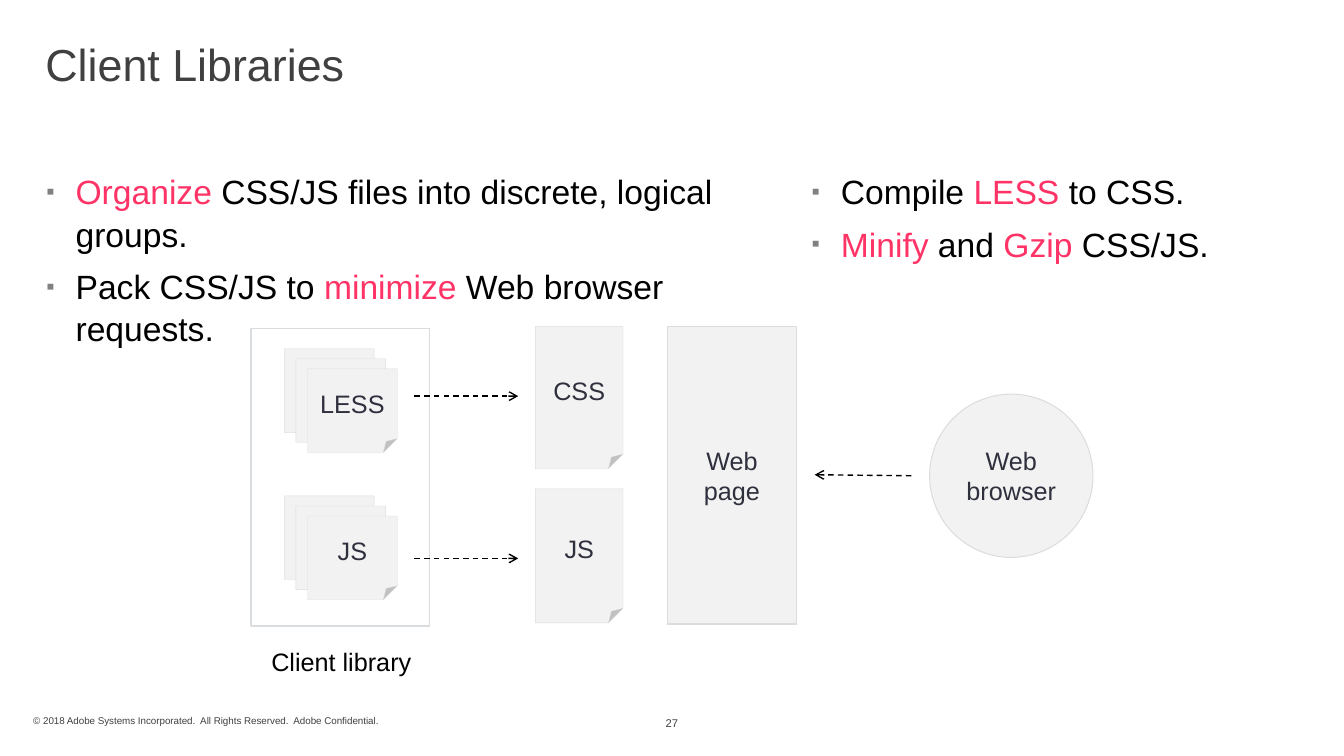
import pptx
import pptx.util
import pptx.dml.color
import pptx.enum.dml
import pptx.enum.shapes
import pptx.enum.text
from lxml import etree
from pptx.oxml.ns import qn

Inches, Pt = pptx.util.Inches, pptx.util.Pt
SHAPE = pptx.enum.shapes.MSO_SHAPE
ALIGN = pptx.enum.text.PP_ALIGN
ANCHOR = pptx.enum.text.MSO_ANCHOR
COLORS = {"title": "404040", "text": "000000", "accent": "FF3366", "bullet": "808080",
          "label": "2F303D", "fill": "F2F2F2", "edge": "DADDE0"}


def rgb(name):
    return pptx.dml.color.RGBColor.from_string(COLORS[name])


def write(p, text, size, color, align=None):
    if align is not None:
        p.alignment = align
    r = p.add_run()
    r.text = text
    for key, value in {"name": "Arial", "size": Pt(size), "bold": False}.items():
        setattr(r.font, key, value)
    r.font.color.rgb = rgb(color)


prs = pptx.Presentation()
prs.slide_width, prs.slide_height = Inches(13.33), Inches(7.5)
s = prs.slides.add_slide(prs.slide_layouts[5])

# Title
title = s.shapes.title
title.left, title.top, title.width, title.height = map(Inches, (0.33, 0.31, 12.66, 0.65))
tf = title.text_frame
frame_format = {"margin_left": Inches(0.12), "margin_right": Inches(0.12),
                "margin_top": Inches(0.06), "margin_bottom": Inches(0.06),
                "vertical_anchor": ANCHOR.MIDDLE, "word_wrap": True,
                "auto_size": pptx.enum.text.MSO_AUTO_SIZE.NONE}
for key, value in frame_format.items():
    setattr(tf, key, value)
write(tf.paragraphs[0], "Client Libraries", 32, "title", ALIGN.LEFT)

# Bullet columns: each bullet is a list of (text, colour) runs
columns = [
    (0.33, 7.08, [
        [("Organize", "accent"), (" CSS/JS files into discrete, logical groups.", "text")],
        [("Pack CSS/JS to ", "text"), ("minimize", "accent"), (" Web browser requests.", "text")]]),
    (7.92, 4.25, [
        [("Compile ", "text"), ("LESS", "accent"), (" to CSS.", "text")],
        [("Minify", "accent"), (" and ", "text"), ("Gzip", "accent"), (" CSS/JS.", "text")]]),
]
for left, width, bullets in columns:
    tf = s.shapes.add_textbox(Inches(left), Inches(1.62), Inches(width), Inches(1.19)).text_frame
    for key, value in {**frame_format, "vertical_anchor": ANCHOR.TOP}.items():
        setattr(tf, key, value)
    for i, runs in enumerate(bullets):
        p = tf.add_paragraph() if i else tf.paragraphs[0]
        p.line_spacing = 1.05
        p.space_before = Pt(7.1 if i else 0)
        pPr = p._p.get_or_add_pPr()
        pPr.set("marL", str(Inches(0.3)))
        pPr.set("indent", str(Inches(-0.29)))
        bu_color = etree.SubElement(pPr, qn("a:buClr"))
        etree.SubElement(bu_color, qn("a:srgbClr"), val=COLORS["bullet"])
        etree.SubElement(pPr, qn("a:buSzPct"), val="70000")
        etree.SubElement(pPr, qn("a:buFont"), typeface="Arial")
        etree.SubElement(pPr, qn("a:buChar"), char="▪")
        for text, color in runs:
            write(p, text, 24, color)

# Diagram shapes: kind, left, top, width, height, line width, label lines
diagram = [(SHAPE.RECTANGLE, 2.49, 3.26, 1.77, 2.95, 1, [])]
for top, label in ((3.46, "LESS"), (4.92, "JS")):
    for i in range(3):
        diagram.append((SHAPE.FOLDED_CORNER, 2.82 + 0.115 * i, top + 0.1 * i, 0.89, 0.83, 0.25,
                        [label] if i == 2 else []))
diagram += [
    (SHAPE.FOLDED_CORNER, 5.31, 3.24, 0.87, 1.41, 0.25, ["CSS"]),
    (SHAPE.FOLDED_CORNER, 5.31, 4.85, 0.87, 1.33, 0.25, ["JS"]),
    (SHAPE.RECTANGLE, 6.62, 3.24, 1.28, 2.95, 1, ["Web", "page"]),
    (SHAPE.OVAL, 9.22, 3.91, 1.62, 1.62, 0, ["Web browser"]),
]
for n, (kind, left, top, width, height, line, labels) in enumerate(diagram):
    sp = s.shapes.add_shape(kind, Inches(left), Inches(top), Inches(width), Inches(height))
    sp.shadow.inherit = False
    if n == 0:
        sp.fill.background()
    else:
        sp.fill.solid()
        sp.fill.fore_color.rgb = rgb("fill")
    sp.line.color.rgb = rgb("edge")
    sp.line.width = Pt(line)
    tf = sp.text_frame
    tf.vertical_anchor = ANCHOR.MIDDLE
    for i, label in enumerate(labels):
        p = tf.add_paragraph() if i else tf.paragraphs[0]
        write(p, label, 18, "label", ALIGN.CENTER)

# Dashed arrows
for x1, y1, x2, y2 in ((4.11, 3.93, 5.14, 3.93), (4.11, 5.54, 5.14, 5.54), (9.04, 4.72, 8.08, 4.71)):
    arrow = s.shapes.add_connector(pptx.enum.shapes.MSO_CONNECTOR.STRAIGHT,
                                   Inches(x1), Inches(y1), Inches(x2), Inches(y2))
    arrow.line.color.rgb = rgb("text")
    arrow.line.width = Pt(1)
    arrow.line.dash_style = pptx.enum.dml.MSO_LINE.DASH
    etree.SubElement(arrow.line._get_or_add_ln(), qn("a:tailEnd"), type="arrow")
    etree.SubElement(arrow._element.spPr, qn("a:effectLst"))

# Caption, copyright line and page number
captions = [
    (2.49, 6.39, 1.79, 0.36, "Client library", 18, "text", ALIGN.CENTER, {"margin_top": Inches(0.05)}),
    (0.33, 7.09, 5.67, 0.12,
     "© 2018 Adobe Systems Incorporated.  All Rights Reserved.  Adobe Confidential.",
     7, "title", ALIGN.LEFT,
     {"margin_left": 0, "margin_right": 0, "margin_top": 0, "margin_bottom": 0,
      "vertical_anchor": ANCHOR.BOTTOM}),
    (6.11, 7.08, 1.11, 0.18, "27", 8, "title", ALIGN.CENTER, {}),
]
for left, top, width, height, text, size, color, align, changes in captions:
    tf = s.shapes.add_textbox(Inches(left), Inches(top), Inches(width), Inches(height)).text_frame
    for key, value in {**frame_format, **changes}.items():
        setattr(tf, key, value)
    write(tf.paragraphs[0], text, size, color, align)

prs.save("out.pptx")
